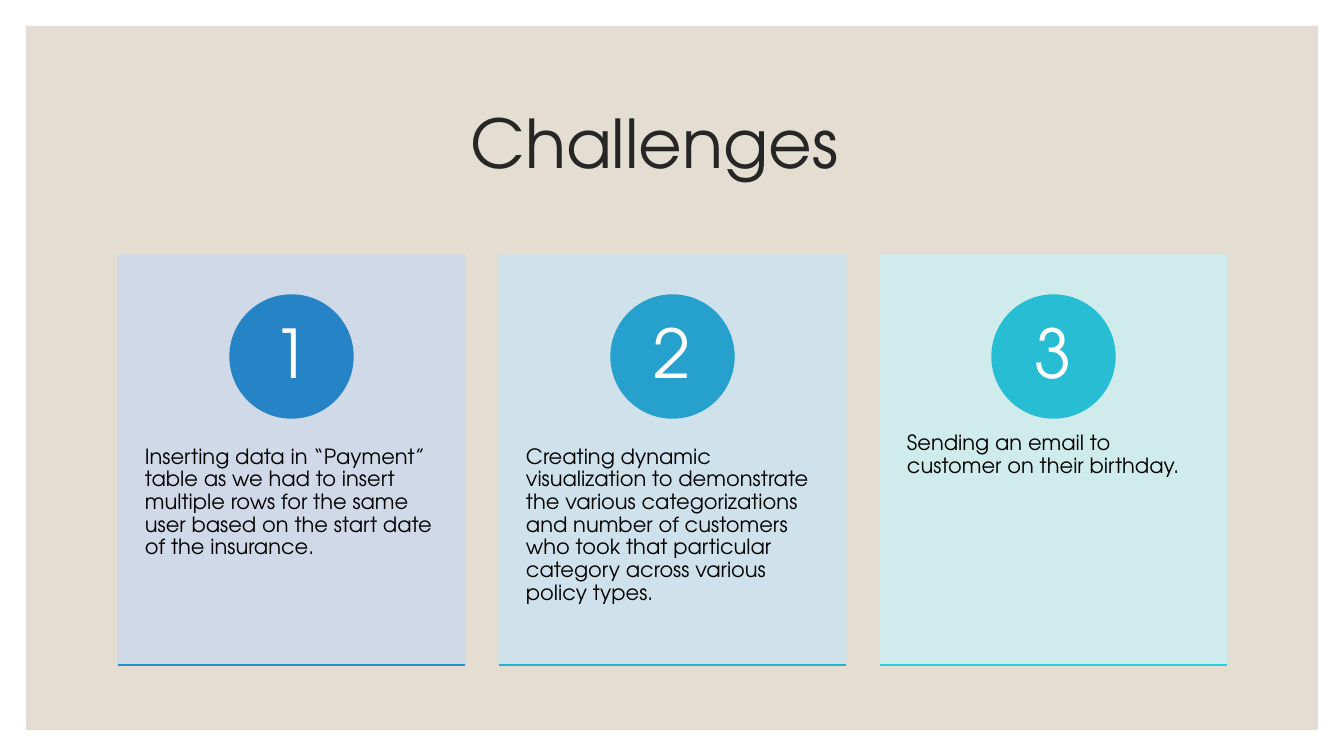
from lxml import etree
from pptx import Presentation
from pptx import util as u
from pptx.dml.color import RGBColor
from pptx.enum import shapes, text
from pptx.oxml import ns

EMU_PER_PX = 12192000 / 1344
FONT = "TeX Gyre Adventor"

WHITE = RGBColor(0xFF, 0xFF, 0xFF)
BLACK = RGBColor(0x00, 0x00, 0x00)
CHARCOAL = RGBColor(0x26, 0x26, 0x26)
SAND = RGBColor(0xE3, 0xDE, 0xD1)

CARD_LEFT, CARD_TOP, CARD_WIDTH, CARD_HEIGHT = 118, 255, 347, 410
CARD_PITCH = 381
CIRCLE_TOP, CIRCLE_SIZE = 295, 123
NUMBER_SIZE = 87
BODY_TOP, BODY_HEIGHT = 410, 246

# Each challenge: card colour, circle colour, base line colour, wording
CHALLENGES = [
    (RGBColor(0xCD, 0xD9, 0xEA), RGBColor(0x26, 0x83, 0xC6), RGBColor(0x26, 0x91, 0xC9),
     "Inserting data in “Payment” table as we had to insert multiple rows "
     "for the same user based on the start date of the insurance."),
    (RGBColor(0xCD, 0xE2, 0xED), RGBColor(0x26, 0xA0, 0xCD), RGBColor(0x27, 0xAF, 0xD0),
     "Creating dynamic visualization to demonstrate the various categorizations "
     "and number of customers who took that particular category across various "
     "policy types."),
    (RGBColor(0xCD, 0xED, 0xF0), RGBColor(0x27, 0xBE, 0xD4), RGBColor(0x27, 0xCE, 0xD7),
     "Sending an email to customer on their birthday."),
]


def px(length):
    return u.Emu(round(length * EMU_PER_PX))


def set_opacity(shape, percent):
    """Apply one opacity to the fill and the outline."""
    for color in shape._element.spPr.iter(ns.qn("a:srgbClr")):
        etree.SubElement(color, ns.qn("a:alpha"), val=str(percent * 1000))


def add_block(slide, kind, left, top, width, height, color, opacity=100):
    shape = slide.shapes.add_shape(kind, px(left), px(top), px(width), px(height))
    shape.shadow.inherit = False
    shape.fill.solid()
    shape.fill.fore_color.rgb = color
    shape.line.color.rgb = color
    shape.line.width = u.Pt(1)
    if opacity < 100:
        set_opacity(shape, opacity)
    return shape


def add_text(slide, wording, left, top, width, height, size, color, insets,
             align=text.PP_ALIGN.LEFT, anchor=text.MSO_ANCHOR.TOP):
    """Add a one-paragraph text box; insets are left, top, right, bottom."""
    frame = slide.shapes.add_textbox(px(left), px(top), px(width), px(height)).text_frame
    frame.word_wrap = True
    frame.vertical_anchor = anchor
    (frame.margin_left, frame.margin_top,
     frame.margin_right, frame.margin_bottom) = map(px, insets)
    paragraph = frame.paragraphs[0]
    paragraph.alignment = align
    paragraph.line_spacing = 0.9
    run = paragraph.add_run()
    run.text = wording
    run.font.name = FONT
    run.font.size = u.Pt(size)
    run.font.color.rgb = color


def add_base_line(slide, left, top, width, color):
    line = slide.shapes.add_connector(shapes.MSO_CONNECTOR.STRAIGHT,
                                      px(left), px(top), px(left + width), px(top))
    line.line.color.rgb = color
    line.line.width = u.Pt(1)
    etree.SubElement(line._element.spPr, ns.qn("a:effectLst"))


def add_card(slide, index, card_color, circle_color, line_color, wording):
    left = CARD_LEFT + index * CARD_PITCH
    add_block(slide, shapes.MSO_SHAPE.RECTANGLE, left, CARD_TOP,
              CARD_WIDTH, CARD_HEIGHT, card_color, opacity=90)
    add_text(slide, wording, left, BODY_TOP, CARD_WIDTH, BODY_HEIGHT,
             15, BLACK, (27, 36, 27, 36))
    add_block(slide, shapes.MSO_SHAPE.OVAL, left + (CARD_WIDTH - CIRCLE_SIZE) // 2,
              CIRCLE_TOP, CIRCLE_SIZE, CIRCLE_SIZE, circle_color)
    add_text(slide, str(index + 1), left + (CARD_WIDTH - NUMBER_SIZE) // 2,
             CIRCLE_TOP + (CIRCLE_SIZE - NUMBER_SIZE) // 2, NUMBER_SIZE, NUMBER_SIZE,
             48, WHITE, (10, 1, 10, 1), text.PP_ALIGN.CENTER, text.MSO_ANCHOR.MIDDLE)
    add_base_line(slide, left, CARD_TOP + CARD_HEIGHT, CARD_WIDTH, line_color)


def main():
    presentation = Presentation()
    presentation.slide_width = px(1344)
    presentation.slide_height = px(756)
    slide = presentation.slides.add_slide(presentation.slide_layouts[6])
    slide.background.fill.solid()
    slide.background.fill.fore_color.rgb = WHITE

    panel = add_block(slide, shapes.MSO_SHAPE.RECTANGLE, 26, 26, 1292, 704, SAND)
    panel.line.fill.background()
    add_text(slide, "Challenges", 118, 71, 1109, 151, 48, CHARCOAL, (10, 5, 46, 5),
             text.PP_ALIGN.CENTER, text.MSO_ANCHOR.MIDDLE)
    for index, challenge in enumerate(CHALLENGES):
        add_card(slide, index, *challenge)

    presentation.save("out.pptx")


if __name__ == "__main__":
    main()
